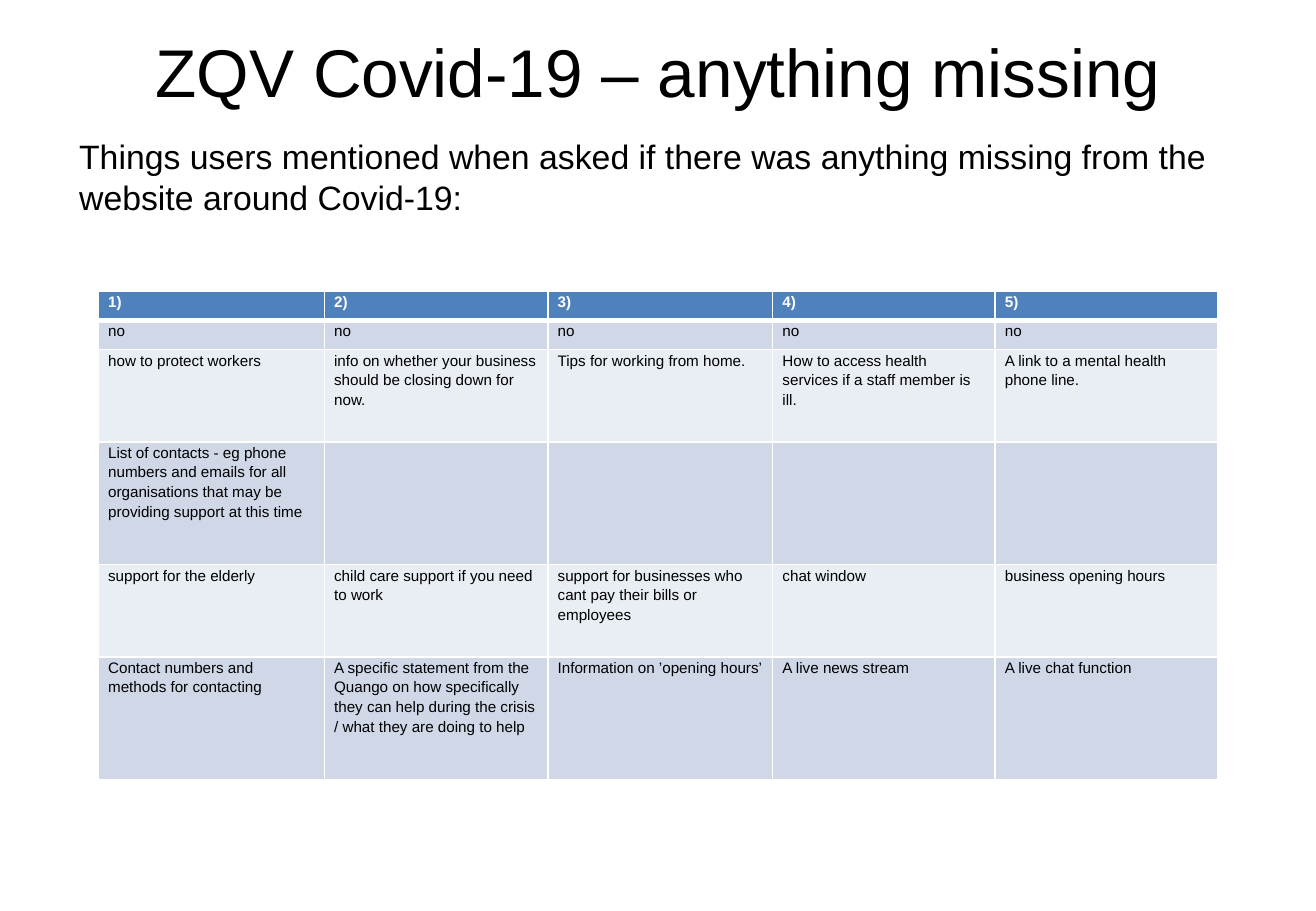
from dataclasses import dataclass

from lxml import etree
from pptx import Presentation
from pptx.dml.color import RGBColor
from pptx.enum.text import MSO_ANCHOR, PP_ALIGN
from pptx.oxml.ns import qn
from pptx.util import Inches, Pt

LEFT, CENTER = PP_ALIGN.LEFT, PP_ALIGN.CENTER
TOP = MSO_ANCHOR.TOP
SLIDE_WIDTH, SLIDE_HEIGHT = 10.83, 7.5
MARGIN = SLIDE_WIDTH * 0.05
CONTENT_WIDTH = SLIDE_WIDTH - 2 * MARGIN


@dataclass(frozen=True)
class Theme:
    """Colours, font, type sizes and line widths of the slide."""
    font: str = "Arial"
    text: str = "000000"
    light: str = "FFFFFF"
    header: str = "4F81BD"
    bands: tuple = ("D0D8E8", "E9EDF4")
    title_size: int = 40
    intro_size: int = 20
    table_size: int = 9
    rule: int = 1
    header_rule: int = 3


THEME = Theme()

COLUMN_WIDTHS = (1.86, 1.84, 1.85, 1.83, 1.83)
ROW_HEIGHTS = (0.24, 0.24, 0.76, 1.01, 0.76, 1.01)
RESPONSES = (
    [f"{number})" for number in range(1, 6)],
    ["no"] * 5,
    ["how to protect workers",
     "info on whether your business should be closing down for now.",
     "Tips for working from home.",
     "How to access health services if a staff member is ill.",
     "A link to a mental health phone line."],
    ["List of contacts - eg phone numbers and emails for all organisations "
     "that may be providing support at this time", "", "", "", ""],
    ["support for the elderly",
     "child care support if you need to work",
     "support for businesses who cant pay their bills or employees",
     "chat window",
     "business opening hours"],
    ["Contact numbers and methods for contacting",
     "A specific statement from the Quango on how specifically they can help "
     "during the crisis / what they are doing to help",
     "Information on \u2019opening hours\u2019",
     "A live news stream",
     "A live chat function"],
)


def write_text(text_frame, text, *, size, color=THEME.text, bold=False,
               align=LEFT, line_spacing=None):
    """Write one formatted paragraph into a text frame."""
    paragraph = text_frame.paragraphs[0]
    paragraph.alignment = align
    paragraph.line_spacing = line_spacing
    paragraph.font.size = Pt(size)
    if text:
        run = paragraph.add_run()
        run.text = text
        run.font.name = THEME.font
        run.font.size = Pt(size)
        run.font.bold = bold
        run.font.color.rgb = RGBColor.from_string(color)


def add_text_box(slide, text, top, height, *, inset_left=0.1, **text_format):
    """Add a wrapped text box across the content width."""
    shape = slide.shapes.add_textbox(Inches(MARGIN), Inches(top),
                                     Inches(CONTENT_WIDTH), Inches(height))
    text_frame = shape.text_frame
    text_frame.word_wrap = True
    text_frame.vertical_anchor = TOP
    text_frame.margin_left = Inches(inset_left)
    write_text(text_frame, text, **text_format)


def set_borders(cell, **widths):
    """Draw light borders on a cell, with point widths keyed by side."""
    properties = cell._tc.get_or_add_tcPr()
    for side in "LRTB":
        line = etree.SubElement(properties, qn(f"a:ln{side}"),
                                w=str(Pt(widths.get(side, THEME.rule))))
        fill = etree.SubElement(line, qn("a:solidFill"))
        etree.SubElement(fill, qn("a:srgbClr"), val=THEME.light)


def format_cell(cell, text, row):
    """Fill, border and write one table cell according to its row."""
    is_header = row == 0
    if is_header:
        set_borders(cell, B=THEME.header_rule)
    else:
        set_borders(cell, T=THEME.header_rule if row == 1 else THEME.rule)
    cell.fill.solid()
    cell.fill.fore_color.rgb = RGBColor.from_string(
        THEME.header if is_header else THEME.bands[(row - 1) % 2])
    cell.margin_left = cell.margin_right = Inches(0.08)
    cell.margin_top = cell.margin_bottom = 0
    write_text(cell.text_frame, text, size=THEME.table_size, bold=is_header,
               color=THEME.light if is_header else THEME.text,
               line_spacing=1.15)


def add_response_table(slide, left, top):
    """Add the table of user responses."""
    shape = slide.shapes.add_table(
        len(ROW_HEIGHTS), len(COLUMN_WIDTHS), Inches(left), Inches(top),
        Inches(sum(COLUMN_WIDTHS)), Inches(sum(ROW_HEIGHTS)))
    table = shape.table
    for column, width in zip(table.columns, COLUMN_WIDTHS):
        column.width = Inches(width)
    for row, height in zip(table.rows, ROW_HEIGHTS):
        row.height = Inches(height)
    for row, texts in enumerate(RESPONSES):
        for column, text in enumerate(texts):
            format_cell(table.cell(row, column), text, row)


def main():
    """Build the slide and save the presentation."""
    presentation = Presentation()
    presentation.slide_width = Inches(SLIDE_WIDTH)
    presentation.slide_height = Inches(SLIDE_HEIGHT)
    slide = presentation.slides.add_slide(presentation.slide_layouts[6])
    add_text_box(slide, "ZQV Covid-19 \u2013 anything missing", 0.2, 1.25,
                 size=THEME.title_size, align=CENTER)
    add_text_box(slide, "Things users mentioned when asked if there was "
                 "anything missing from the website around Covid-19:",
                 1.07, 6.13, inset_left=0.11, size=THEME.intro_size)
    add_response_table(slide, (SLIDE_WIDTH - sum(COLUMN_WIDTHS)) / 2,
                       SLIDE_HEIGHT * 0.32)
    presentation.save("out.pptx")


main()
